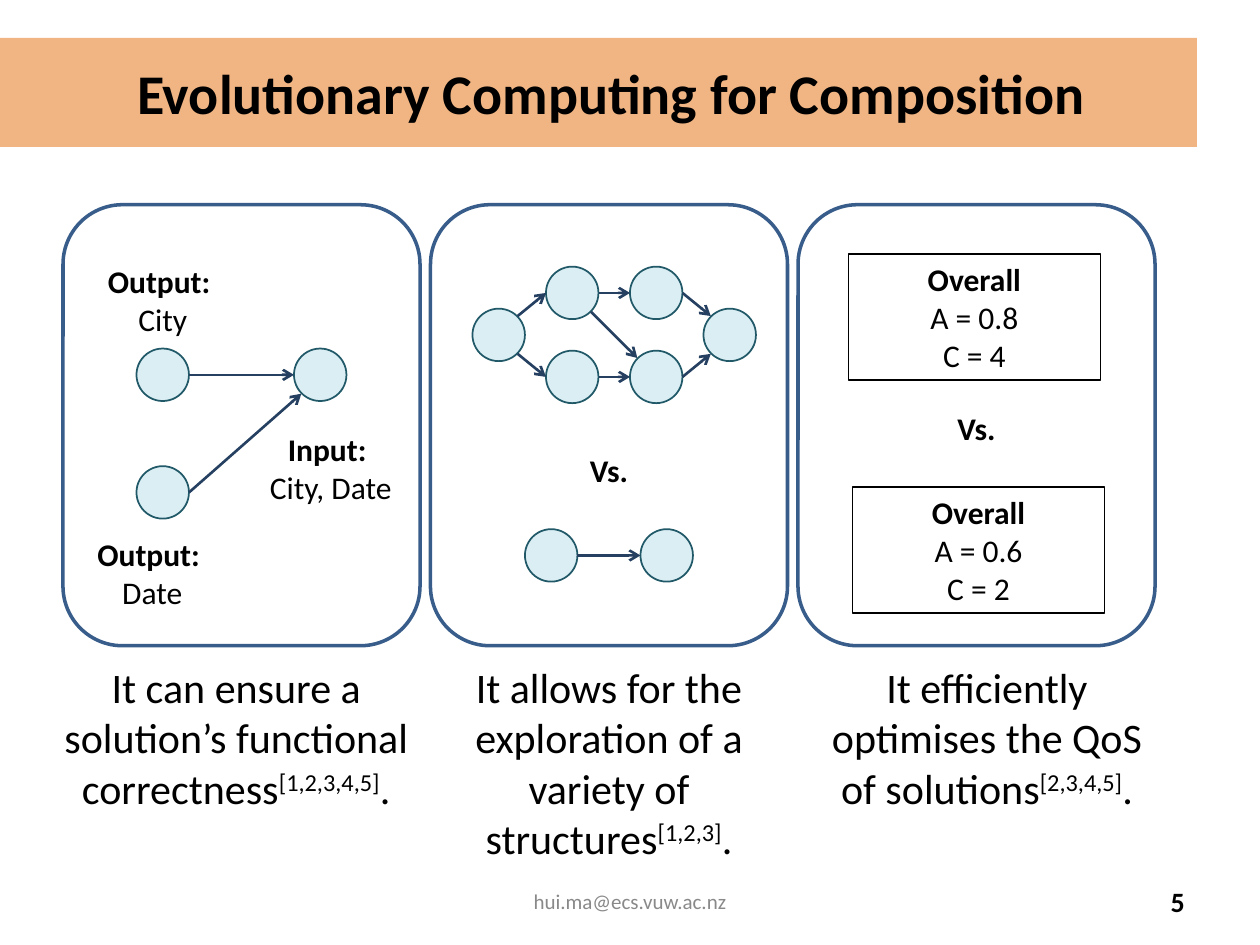
from lxml.etree import SubElement
from pptx import Presentation
from pptx.dml.color import RGBColor
from pptx.enum.shapes import MSO_CONNECTOR, MSO_SHAPE
from pptx.enum.text import MSO_ANCHOR, PP_ALIGN
from pptx.oxml.ns import qn
from pptx.util import Emu, Pt

SCALE = 7620
DIAG = 18
SITES = {"e": (25, 0), "w": (-25, 0), "ne": (DIAG, -DIAG),
         "se": (DIAG, DIAG), "nw": (-DIAG, -DIAG), "sw": (-DIAG, DIAG)}


def px(*nums):
    return [Emu(n * SCALE) for n in nums]


def tint(code):
    return RGBColor.from_string(code)


def write(frame, text, size=18, bold=0, color="000000", ref="",
          align=PP_ALIGN.CENTER, anchor=MSO_ANCHOR.TOP):
    frame.word_wrap = True
    frame.vertical_anchor = anchor
    frame.margin_left, frame.margin_right = px(12, 12)
    frame.margin_top, frame.margin_bottom = px(6, 6)
    for i, line in enumerate(text.split("\n")):
        para = frame.paragraphs[0] if i == 0 else frame.add_paragraph()
        para.alignment = align
        parts = [(line, 0), (ref, 30000), (".", 0)] if ref else [(line, 0)]
        for part, lift in parts:
            run = para.add_run()
            run.text = part
            font = run.font
            font.name, font.size, font.bold = "Calibri", Pt(size), i < bold
            font.color.rgb = tint(color)
            if lift:
                run._r.get_or_add_rPr().set("baseline", str(lift))


class Board:
    face = "DBEEF4"
    rim = "215968"
    wire = "254061"

    def __init__(self, slide):
        self.slide = slide

    def shape(self, kind, box, fill, line=None, width=1):
        item = self.slide.shapes.add_shape(kind, *px(*box))
        item.shadow.inherit = False
        item.fill.solid()
        item.fill.fore_color.rgb = tint(fill)
        if line:
            item.line.color.rgb = tint(line)
            item.line.width = Pt(width)
        else:
            item.line.fill.background()
        return item

    def title(self, text, box):
        bar = self.shape(MSO_SHAPE.RECTANGLE, box, "E46C0A")
        hue = bar.fill._xPr.find(qn("a:solidFill"))[0]
        SubElement(hue, qn("a:alpha")).set("val", "50000")
        write(bar.text_frame, text, size=32, bold=1, anchor=MSO_ANCHOR.MIDDLE)
        bar.text_frame.margin_left = px(36)[0]

    def panel(self, box):
        self.shape(MSO_SHAPE.ROUNDED_RECTANGLE, box, "FFFFFF", "385D8A", 2)

    def card(self, text, box):
        item = self.shape(MSO_SHAPE.RECTANGLE, box, "FFFFFF", "000000", 0.75)
        write(item.text_frame, text, bold=1)

    def label(self, text, box, **style):
        item = self.slide.shapes.add_textbox(*px(*box))
        write(item.text_frame, text, **style)

    def node(self, left, top):
        self.shape(MSO_SHAPE.OVAL, (left, top, 50, 50), self.face, self.rim)
        return left + 25, top + 25

    def link(self, start, out, end, into):
        ends = [spot + step for point, site in ((start, out), (end, into))
                for spot, step in zip(point, SITES[site])]
        item = self.slide.shapes.add_connector(
            MSO_CONNECTOR.STRAIGHT, *px(*ends))
        item.line.color.rgb = tint(self.wire)
        item.line.width = Pt(1.5)
        SubElement(item.line._get_or_add_ln(), qn("a:tailEnd")).set("type", "arrow")
        SubElement(item._element.spPr, qn("a:effectLst"))


def main():
    deck = Presentation()
    deck.slide_width, deck.slide_height = px(1200, 900)
    board = Board(deck.slides.add_slide(deck.slide_layouts[6]))
    board.title("Evolutionary Computing for Composition", (0, 36, 1140, 104))
    for i in range(3):
        board.panel((60 + 350 * i, 195, 340, 420))

    for text, ref, left, width, high in (
            ("It can ensure a solution’s functional correctness",
             "[1,2,3,4,5]", 40, 370, 156),
            ("It allows for the exploration of a variety of structures",
             "[1,2,3]", 410, 340, 204),
            ("It efficiently optimises the QoS of solutions",
             "[2,3,4,5]", 760, 360, 156)):
        board.label(text, (left, 624, width, high), size=24, ref=ref)

    for text, left, top, width in (
            ("Output: \nCity", 90, 244, 130),
            ("Output: \nDate", 80, 504, 130),
            ("Input: \nCity, Date", 240, 404, 150)):
        board.label(text, (left, top, width, 84), bold=1)
    city, goal, date = [
        board.node(*spot) for spot in ((130, 332), (280, 332), (130, 444))]
    board.link(city, "e", goal, "w")
    board.link(date, "e", goal, "sw")

    first, upper, lower, below, above, last = [
        board.node(*spot) for spot in ((450, 294), (520, 254), (520, 334),
                                       (600, 334), (600, 254), (670, 294))]
    for edge in ((first, "ne", upper, "w"), (first, "se", lower, "w"),
                 (upper, "e", above, "w"), (lower, "e", below, "w"),
                 (above, "e", last, "nw"), (below, "e", last, "sw"),
                 (upper, "se", below, "nw")):
        board.link(*edge)
    board.link(board.node(500, 504), "e", board.node(610, 504), "w")

    for left, top in ((540, 424), (890, 384)):
        board.label("Vs.", (left, top, 80, 48), bold=1)
    board.card("Overall\nA = 0.8\nC = 4", (808, 242, 240, 120))
    board.card("Overall\nA = 0.6\nC = 2", (812, 464, 240, 120))

    board.label("hui.ma@ecs.vuw.ac.nz", (410, 834, 380, 48), size=12,
                color="898989", anchor=MSO_ANCHOR.MIDDLE)
    board.label("5", (860, 834, 280, 48), size=16, bold=1,
                align=PP_ALIGN.RIGHT, anchor=MSO_ANCHOR.MIDDLE)
    deck.save("out.pptx")


if __name__ == "__main__":
    main()
